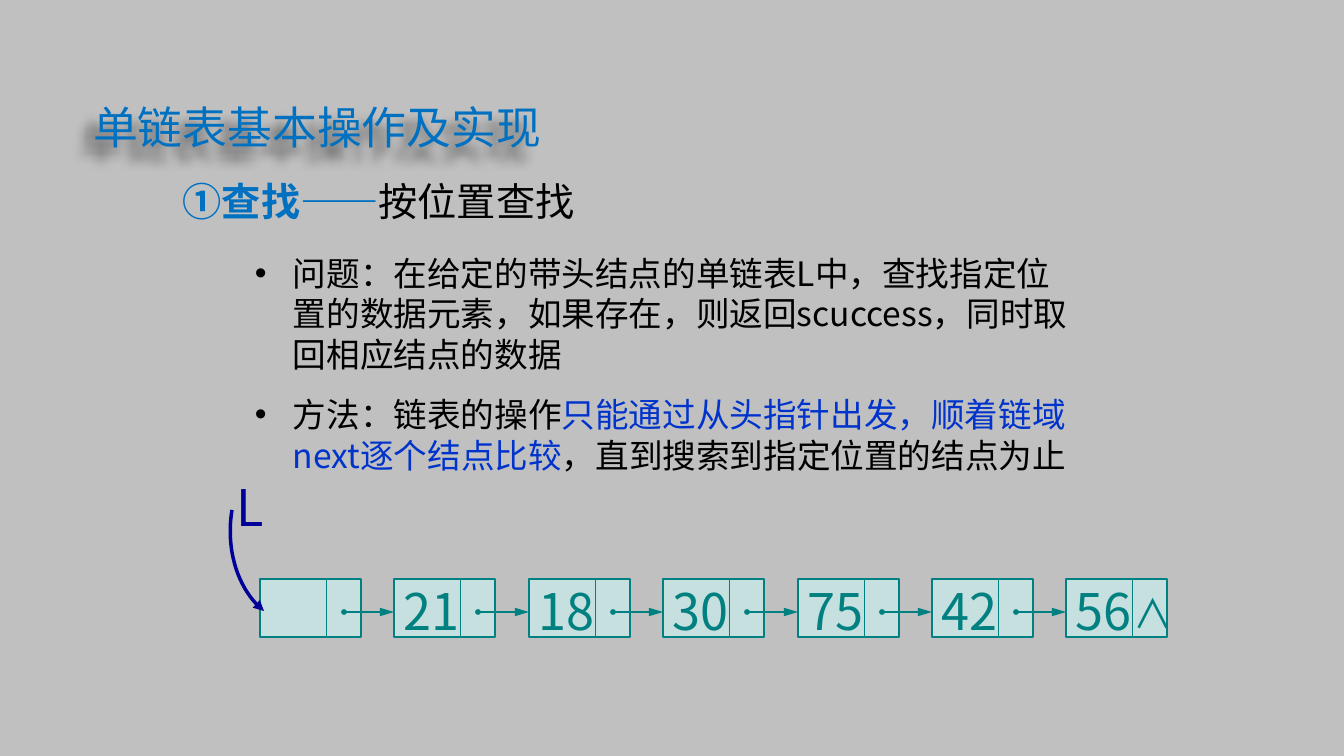
import pptx
import pptx.util
import pptx.dml.color
import pptx.enum.shapes
import pptx.enum.text
import pptx.oxml
import pptx.oxml.ns

RGBColor = pptx.dml.color.RGBColor
Pt = pptx.util.Pt
SHAPE = pptx.enum.shapes.MSO_SHAPE
CONNECTOR = pptx.enum.shapes.MSO_CONNECTOR
ANCHOR = pptx.enum.text.MSO_ANCHOR
ALIGN = pptx.enum.text.PP_ALIGN
AUTO_SIZE = pptx.enum.text.MSO_AUTO_SIZE

GREY = RGBColor(0xC0, 0xC0, 0xC0)
BLACK = RGBColor(0x01, 0x00, 0x00)
BLUE = RGBColor(0x00, 0x70, 0xC0)
BRIGHT_BLUE = RGBColor(0x00, 0x33, 0xCC)
NAVY = RGBColor(0x00, 0x00, 0x99)
TEAL = RGBColor(0x00, 0x80, 0x80)
PALE_CYAN = RGBColor(0xCC, 0xFF, 0xFF)

EMU_PER_PX = 914400 / 100.8


def px(length):
    return pptx.util.Emu(round(length * EMU_PER_PX))


def add_xml(parent, xml):
    """Append an element given as XML in the drawing namespace."""
    tag, rest = xml[1:].split(" ", 1)
    namespace = pptx.oxml.ns.nsdecls("a")
    element = pptx.oxml.parse_xml(f"<{tag} {namespace} {rest}")
    parent.append(element)


def apply(target, values):
    for name, value in values.items():
        setattr(target, name, value)


class SlidePainter:
    font_name = "Noto Sans CJK SC"

    def __init__(self, slide):
        self.shapes = slide.shapes

    def add_runs(self, paragraph, runs, size, spacing=1.3):
        """Fill a paragraph with (text, colour, bold) runs."""
        apply(paragraph, {"alignment": ALIGN.LEFT, "line_spacing": Pt(round(size * spacing, 1))})
        for text, colour, bold in runs:
            run = paragraph.add_run()
            run.text = text
            apply(run.font, {"name": self.font_name, "size": Pt(size), "bold": bold})
            run.font.color.rgb = colour
            add_xml(run.font._element, f'<a:ea typeface="{self.font_name}"/>')

    def title(self, box, text, colour, size):
        title = self.shapes.title
        apply(title, dict(zip(("left", "top", "width", "height"), map(px, box))))
        apply(title.text_frame, {"vertical_anchor": ANCHOR.MIDDLE, "word_wrap": True,
                                 "auto_size": AUTO_SIZE.NONE})
        self.add_runs(title.text_frame.paragraphs[0], [(text, colour, False)], size, 1.25)
        add_xml(title._element.spPr,
                '<a:effectLst ><a:outerShdw blurRad="100000" dist="180000" dir="8100000" '
                'algn="tr" rotWithShape="0"><a:srgbClr val="000000"><a:alpha val="50000"/>'
                '</a:srgbClr></a:outerShdw></a:effectLst>')

    def label(self, box, runs, size):
        frame = self.shapes.add_textbox(*map(px, box)).text_frame
        frame.word_wrap = False
        self.add_runs(frame.paragraphs[0], runs, size)

    def bullets(self, box, items, size):
        frame = self.shapes.add_textbox(*map(px, box)).text_frame
        frame.word_wrap = True
        for index, runs in enumerate(items):
            paragraph = frame.add_paragraph() if index else frame.paragraphs[0]
            self.add_runs(paragraph, runs, size, 1.2)
            if index:
                paragraph.space_before = Pt(size * 0.6)
            properties = paragraph._p.get_or_add_pPr()
            properties.set("marL", str(px(38)))
            properties.set("indent", str(px(-38)))
            add_xml(properties, f'<a:buClr ><a:srgbClr val="{BLACK}"/></a:buClr>')
            add_xml(properties, '<a:buFont typeface="Arial"/>')
            add_xml(properties, '<a:buChar char="•"/>')

    def cell(self, box, text, size):
        cell = self.shapes.add_shape(SHAPE.RECTANGLE, *map(px, box))
        cell.shadow.inherit = False
        cell.fill.solid()
        cell.fill.fore_color.rgb = PALE_CYAN
        add_xml(cell._element.spPr.find(pptx.oxml.ns.qn("a:solidFill"))[0],
                '<a:alpha val="50000"/>')
        cell.line.color.rgb = TEAL
        cell.line.width = Pt(2)
        if text:
            apply(cell.text_frame, {"vertical_anchor": ANCHOR.MIDDLE, "word_wrap": False})
            self.add_runs(cell.text_frame.paragraphs[0], [(text, TEAL, False)], size)

    def line(self, start, end, width, ends=()):
        line = self.shapes.add_connector(CONNECTOR.STRAIGHT, *map(px, start + end))
        line.line.color.rgb = TEAL
        line.line.width = Pt(width)
        for line_end in ends:
            add_xml(line.line._get_or_add_ln(), line_end)
        add_xml(line._element.spPr, "<a:effectLst />")

    def curve(self, start, control_1, control_2, end, colour, width, steps=24):
        """Draw a cubic curve with an arrowhead at its start."""
        knots = (start, control_1, control_2, end)
        points = []
        for step in range(steps + 1):
            t = step / steps
            weights = ((1 - t) ** 3, 3 * t * (1 - t) ** 2, 3 * t * t * (1 - t), t ** 3)
            points.append(tuple(px(sum(w * knot[axis] for w, knot in zip(weights, knots)))
                                for axis in (0, 1)))
        builder = self.shapes.build_freeform(*points[0])
        builder.add_line_segments(points[1:], close=False)
        pointer = builder.convert_to_shape()
        pointer.shadow.inherit = False
        pointer.fill.background()
        pointer.line.color.rgb = colour
        pointer.line.width = Pt(width)
        add_xml(pointer.line._get_or_add_ln(), '<a:headEnd type="triangle"/>')


def main():
    deck = pptx.Presentation()
    deck.slide_width, deck.slide_height = px(1344), px(756)
    slide = deck.slides.add_slide(deck.slide_layouts[5])
    slide.background.fill.solid()
    slide.background.fill.fore_color.rgb = GREY
    painter = SlidePainter(slide)

    # Title and heading
    painter.title((83, 87, 563, 77), "单链表基本操作及实现", BLUE, 32)
    painter.label((173, 168, 422, 57),
                  [("①查找——", BLUE, True), ("按位置查找", BLACK, False)], 28)

    # Problem and method
    problem = [("问题：在给定的带头结点的单链表L中，查找指定位置的数据元素，"
                "如果存在，则返回scuccess，同时取回相应结点的数据", BLACK, False)]
    method = [("方法：链表的操作", BLACK, False),
              ("只能通过从头指针出发，顺着链域next逐个结点比较", BRIGHT_BLUE, False),
              ("，直到搜索到指定位置的结点为止", BLACK, False)]
    painter.bullets((245, 248, 836, 268), [problem, method], 24)

    # Linked list: the head node is empty
    top, width, height, data_width = 579, 101, 58, 67
    link_y, link_offset = 612, 84
    link_ends = ('<a:headEnd type="oval" w="sm" len="sm"/>',
                 '<a:tailEnd type="triangle" w="med" len="lg"/>')
    values = ["", "21", "18", "30", "75", "42", "56"]
    lefts = [round(260 + 134.4 * index) for index in range(len(values))]
    for left, value in zip(lefts, values):
        painter.cell((left, top, width, height), value, 36)
        divider = left + data_width
        painter.line((divider, top), (divider, top + height), 0.75)
    for left, next_left in zip(lefts, lefts[1:]):
        painter.line((left + link_offset, link_y), (next_left, link_y), 2, link_ends)
    painter.label((lefts[-1] + 58, 580, 60, 57), [("∧", TEAL, False)], 28)

    # Head pointer
    painter.label((227, 466, 48, 72), [("L", NAVY, False)], 36)
    painter.curve((264, 611), (240, 592), (225, 553), (232, 510), NAVY, 2.5)

    deck.save("out.pptx")


if __name__ == "__main__":
    main()
